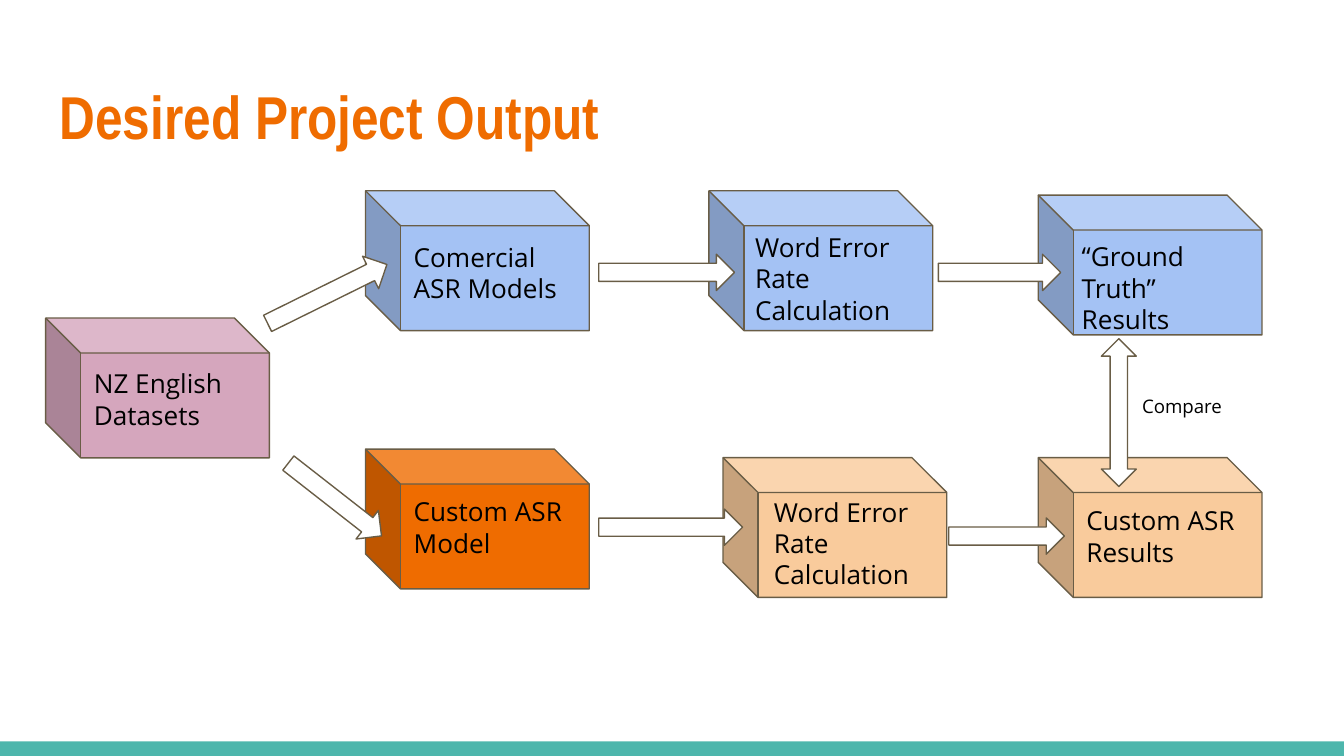
from typing import NamedTuple

from pptx import Presentation
from pptx.dml.color import RGBColor
from pptx.enum.shapes import MSO_SHAPE as Kind
from pptx.enum.text import MSO_ANCHOR as Anchor
from pptx.util import Inches, Pt

WHITE = RGBColor(0xFF, 0xFF, 0xFF)
BLACK = RGBColor(0, 0, 0)
EDGE = RGBColor(0x69, 0x5D, 0x46)
TEAL = RGBColor(0x4D, 0xB6, 0xAC)
ORANGE = RGBColor(0xEF, 0x6C, 0x00)
BLUE = RGBColor(0xA4, 0xC2, 0xF4)
PINK = RGBColor(0xD5, 0xA6, 0xBD)
PEACH = RGBColor(0xF9, 0xCB, 0x9C)

COLS = 100
WIDE = Inches(10)
HIGH = WIDE * 9 // 16
UNIT = WIDE / COLS
ROWS = HIGH / UNIT
BAR_H = 1.08
CUBE_W, CUBE_H = 16.65, 10.4
LABEL_W = 14


class Box(NamedTuple):
    col: float
    row: float
    wide: float
    high: float


class Cube(NamedTuple):
    text: str
    col: float
    row: float
    fill: RGBColor
    dx: float
    dy: float
    lines: int


class Arrow(NamedTuple):
    col: float
    row: float
    wide: float
    turn: float = 0
    kind: Kind = Kind.RIGHT_ARROW
    high: float = 2.7


CUBES = [
    Cube("Comercial ASR Models", 27.2, 14.2, BLUE, 2.6, 2.75, 2),
    Cube("Word Error Rate Calculation", 52.75, 14.2, BLUE, 2.45, 2, 3),
    Cube("“Ground Truth” Results", 77.25, 14.52, BLUE, 2.25, 2.4, 3),
    Cube("NZ English Datasets", 3.4, 23.67, PINK, 2.6, 2.7, 2),
    Cube("Custom ASR Model", 27.2, 33.42, ORANGE, 2.6, 2.45, 2),
    Cube("Word Error Rate Calculation", 53.8, 34.05, PEACH, 2.8, 1.85, 3),
    Cube("Custom ASR Results", 77.25, 34.05, PEACH, 2.6, 2.5, 2),
]

ARROWS = [
    Arrow(77.75, 29.4, 11, 270, Kind.LEFT_RIGHT_ARROW, 2.6),
    Arrow(19.4, 20.52, 9.9, 333.7),
    Arrow(20.52, 35.82, 8.8, 38),
    Arrow(44.55, 18.92, 10.1),
    Arrow(44.55, 37.88, 10.7),
    Arrow(69.82, 18.92, 9.1),
    Arrow(70.6, 38.54, 8.6),
]


def scale(box: Box) -> list[int]:
    return [round(part * UNIT) for part in box]


def add_form(slide, kind: Kind, box: Box, fill: RGBColor, edge: bool = True):
    form = slide.shapes.add_shape(kind, *scale(box))
    form.shadow.inherit = False
    form.fill.solid()
    form.fill.fore_color.rgb = fill
    if edge:
        form.line.color.rgb = EDGE
        form.line.width = Pt(0.75)
    else:
        form.line.fill.background()
    return form


def add_text(slide, text: str, box: Box, size: float, font: str = "Open Sans",
             color: RGBColor = BLACK, bold: bool = False,
             anchor: Anchor = Anchor.TOP) -> None:
    frame = slide.shapes.add_textbox(*scale(box)).text_frame
    frame.word_wrap = True
    frame.vertical_anchor = anchor
    frame.margin_left = frame.margin_right = Inches(0.1)
    frame.margin_top = frame.margin_bottom = Inches(0.1)
    run = frame.paragraphs[0].add_run()
    run.text = text
    run.font.name = font
    run.font.size = Pt(size)
    run.font.bold = bold
    run.font.color.rgb = color


def add_cube(slide, cube: Cube) -> None:
    form = add_form(slide, Kind.CUBE,
                    Box(cube.col, cube.row, CUBE_W, CUBE_H), cube.fill)
    form.adjustments[0] = 0.25
    form.element.spPr.xfrm.set("flipH", "1")


def add_label(slide, cube: Cube) -> None:
    box = Box(cube.col + cube.dx, cube.row + cube.dy,
              LABEL_W, 2 + 2.36 * cube.lines)
    add_text(slide, cube.text, box, 14)


def add_arrow(slide, arrow: Arrow) -> None:
    box = Box(arrow.col, arrow.row, arrow.wide, arrow.high)
    form = add_form(slide, arrow.kind, box, WHITE)
    form.rotation = arrow.turn


def main() -> None:
    deck = Presentation()
    deck.slide_width, deck.slide_height = WIDE, HIGH
    slide = deck.slides.add_slide(deck.slide_layouts[6])
    slide.background.fill.solid()
    slide.background.fill.fore_color.rgb = WHITE
    add_form(slide, Kind.RECTANGLE, Box(0, ROWS - BAR_H, COLS, BAR_H),
             TEAL, False)
    add_text(slide, "Desired Project Output", Box(3.45, 4.75, 93.2, 7.7), 32.4,
             "Arial Narrow", ORANGE, True, Anchor.MIDDLE)
    for cube in CUBES:
        add_cube(slide, cube)
    for cube in CUBES:
        add_label(slide, cube)
    for arrow in ARROWS:
        add_arrow(slide, arrow)
    add_text(slide, "Compare", Box(84, 28.55, 10.7, 3.7), 10)
    deck.save("out.pptx")


if __name__ == "__main__":
    main()
